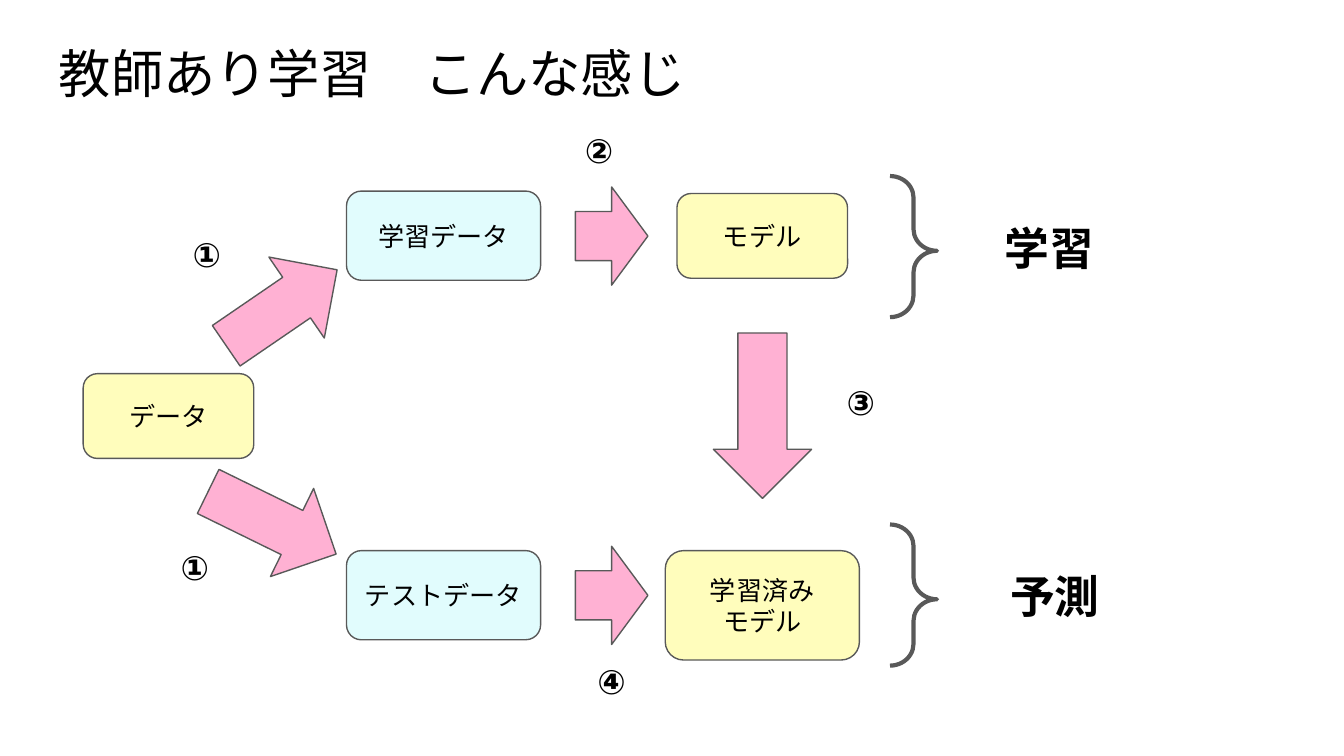
from pptx import Presentation
from pptx.dml.color import RGBColor
from pptx.enum.shapes import MSO_SHAPE
from pptx.enum.text import MSO_ANCHOR, PP_ALIGN
from pptx.util import Pt

BOX = MSO_SHAPE.ROUNDED_RECTANGLE
ARROW = MSO_SHAPE.DOWN_ARROW
BRACE = MSO_SHAPE.RIGHT_BRACE
TOP, MIDDLE = MSO_ANCHOR.TOP, MSO_ANCHOR.MIDDLE
LEFT, CENTER = PP_ALIGN.LEFT, PP_ALIGN.CENTER

BLACK = RGBColor(0x00, 0x00, 0x00)
GRAY = RGBColor(0x59, 0x59, 0x59)
CYAN = RGBColor(0xE1, 0xFC, 0xFD)
YELLOW = RGBColor(0xFF, 0xFD, 0xBC)
PINK = RGBColor(0xFF, 0xB1, 0xD3)


class Diagram:
    font = "Arial"
    inset = Pt(7.2)
    arrow_width = 52.6

    def __init__(self, slide):
        self.slide = slide

    def set_text(self, sp, text, size, bold=False, align=CENTER, anchor=MIDDLE):
        tf = sp.text_frame
        tf.word_wrap = True
        tf.vertical_anchor = anchor
        tf.margin_left = tf.margin_right = self.inset
        tf.margin_top = tf.margin_bottom = self.inset
        tf.text = text
        for p in tf.paragraphs:
            p.alignment = align
            for r in p.runs:
                r.font.name = self.font
                r.font.size = Pt(size)
                r.font.bold = bold
                r.font.color.rgb = BLACK

    def shape(self, kind, x, y, w, h, fill=None, line=0.75):
        sp = self.slide.shapes.add_shape(kind, Pt(x), Pt(y), Pt(w), Pt(h))
        sp.shadow.inherit = False
        if fill is None:
            sp.fill.background()
        else:
            sp.fill.solid()
            sp.fill.fore_color.rgb = fill
        sp.line.color.rgb = GRAY
        sp.line.width = Pt(line)
        return sp

    def text(self, text, x, y, w, h, size, **style):
        sp = self.slide.shapes.add_textbox(Pt(x), Pt(y), Pt(w), Pt(h))
        self.set_text(sp, text, size, **style)

    def box(self, text, x, y, w, h, fill):
        self.set_text(self.shape(BOX, x, y, w, h, fill), text, 14)

    def arrow(self, x, y, length, rotation):
        sp = self.shape(ARROW, x, y, self.arrow_width, length, PINK)
        sp.rotation = rotation

    def brace(self, x, y):
        sp = self.shape(BRACE, x, y, 25.2, 75.6, line=2.25)
        sp.adjustments[0] = 0.46
        sp.adjustments[1] = 0.53

    def phase(self, text, x, y):
        self.text(text, x, y, 88.6, 36.7, 24, bold=True)

    def step(self, text, x, y):
        self.text(text, x, y, 38.9, 33.1, 18, bold=True)


def main():
    prs = Presentation()
    prs.slide_width, prs.slide_height = Pt(720), Pt(405)
    s = prs.slides.add_slide(prs.slide_layouts[6])
    d = Diagram(s)

    # Title
    d.text("教師あり学習　こんな感じ", 24.5, 15.1, 671, 45.4, 28,
           align=LEFT, anchor=TOP)

    # Data and models
    d.box("データ", 44.6, 200.2, 91.4, 45.4, YELLOW)
    d.box("学習データ", 185.6, 102.4, 104, 47.8, CYAN)
    d.box("テストデータ", 185.6, 295, 104, 47.8, CYAN)
    d.box("モデル", 362.7, 103.7, 91.4, 45.4, YELLOW)
    d.box("学習済み\nモデル", 356.4, 295, 104, 58.6, YELLOW)

    # Flow arrows
    d.arrow(124.6, 128.9, 72, 235.6)
    d.arrow(119.5, 241.9, 76.3, 296.1)
    d.arrow(382.2, 178.4, 88.6, 0)
    for y in (107, 299.5):
        d.arrow(301.4, y, 38.9, 270)

    # Phases
    for y in (94.3, 281):
        d.brace(476.8, y)
    d.phase("学習", 517.7, 114.5)
    d.phase("予測", 520.9, 300.5)

    # Step numbers
    for mark, x, y in (("①", 91.4, 119.7), ("①", 85, 287.3),
                       ("②", 301.5, 64.1), ("③", 441.8, 198.7),
                       ("④", 308.2, 348.6)):
        d.step(mark, x, y)

    prs.save("out.pptx")


if __name__ == "__main__":
    main()
